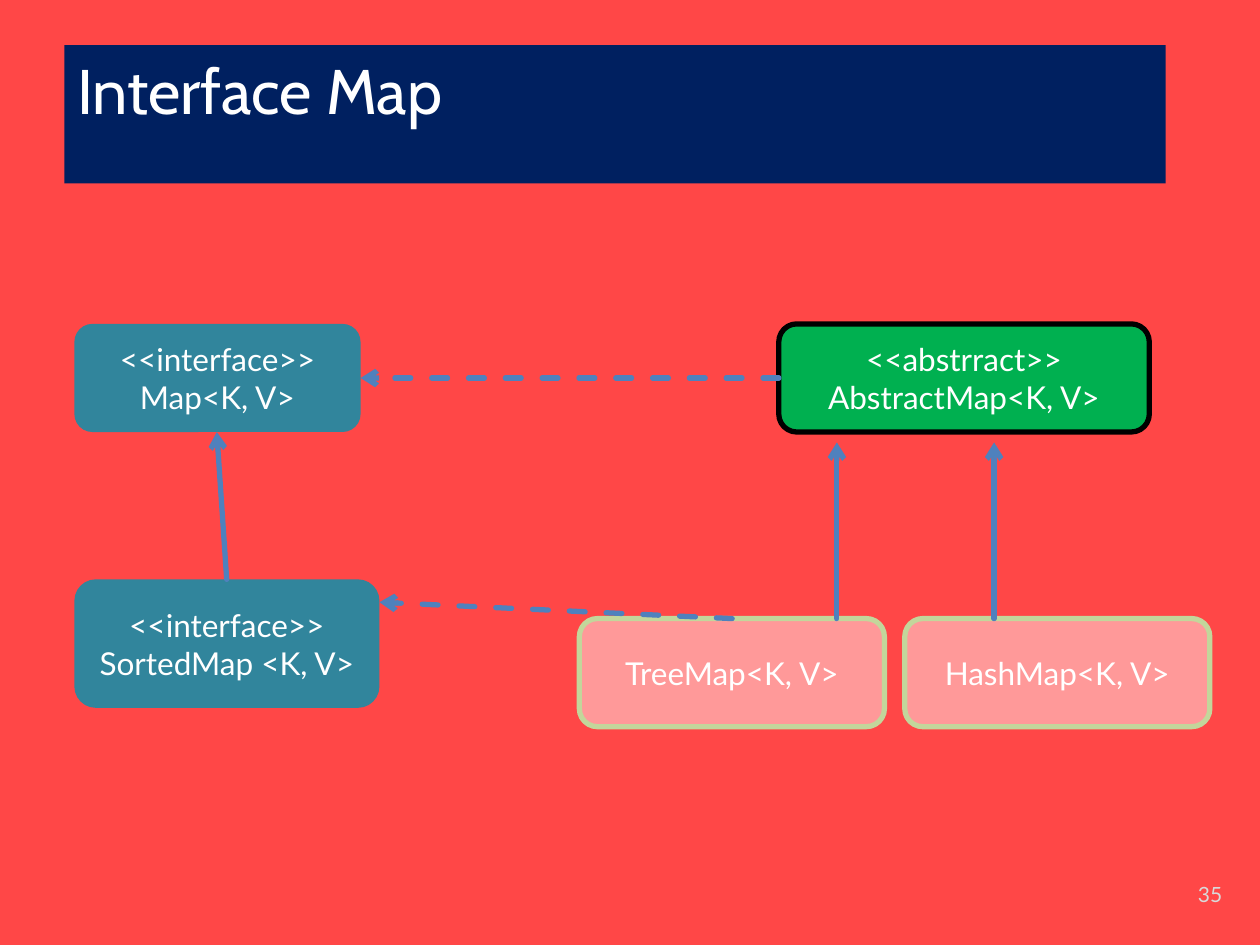
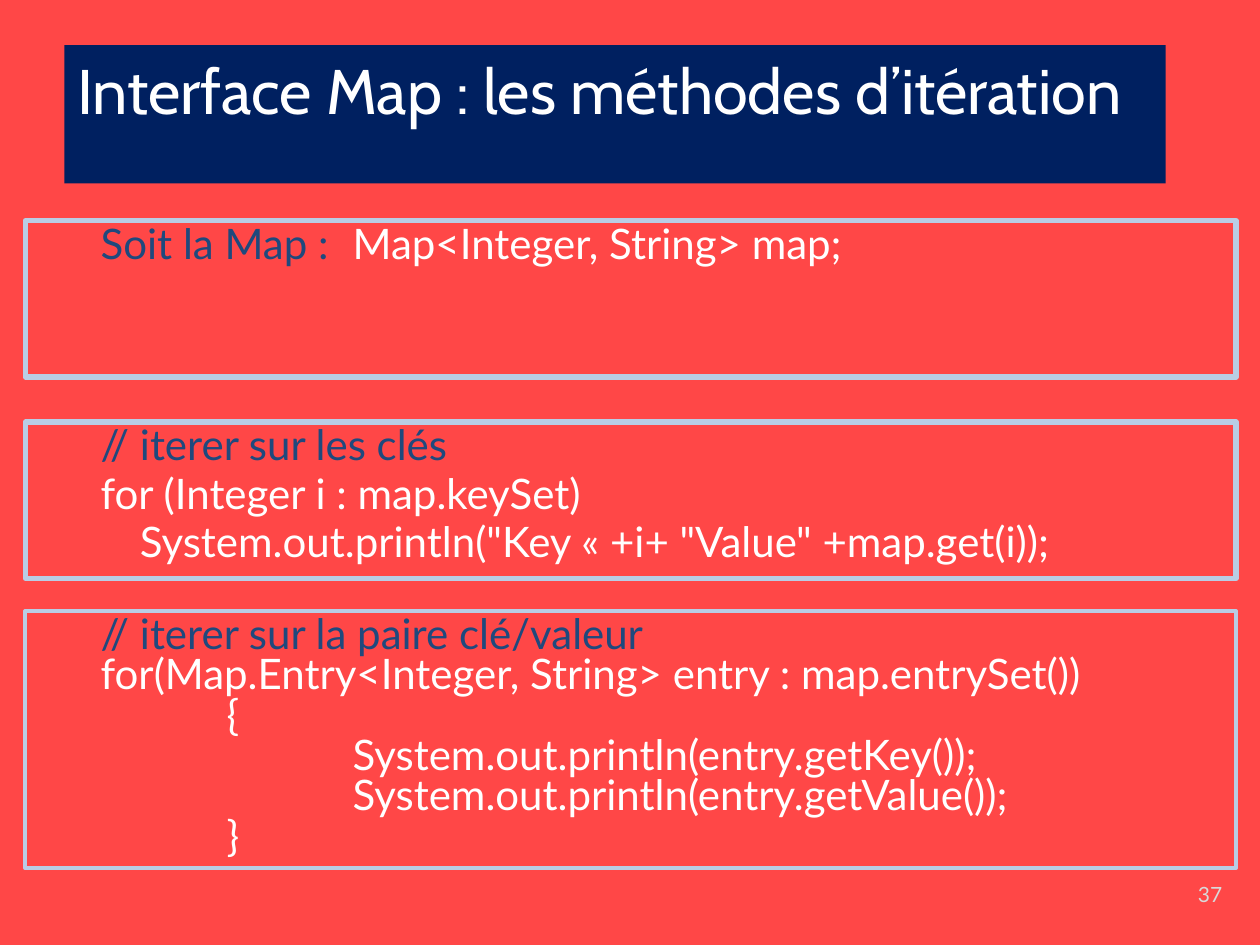
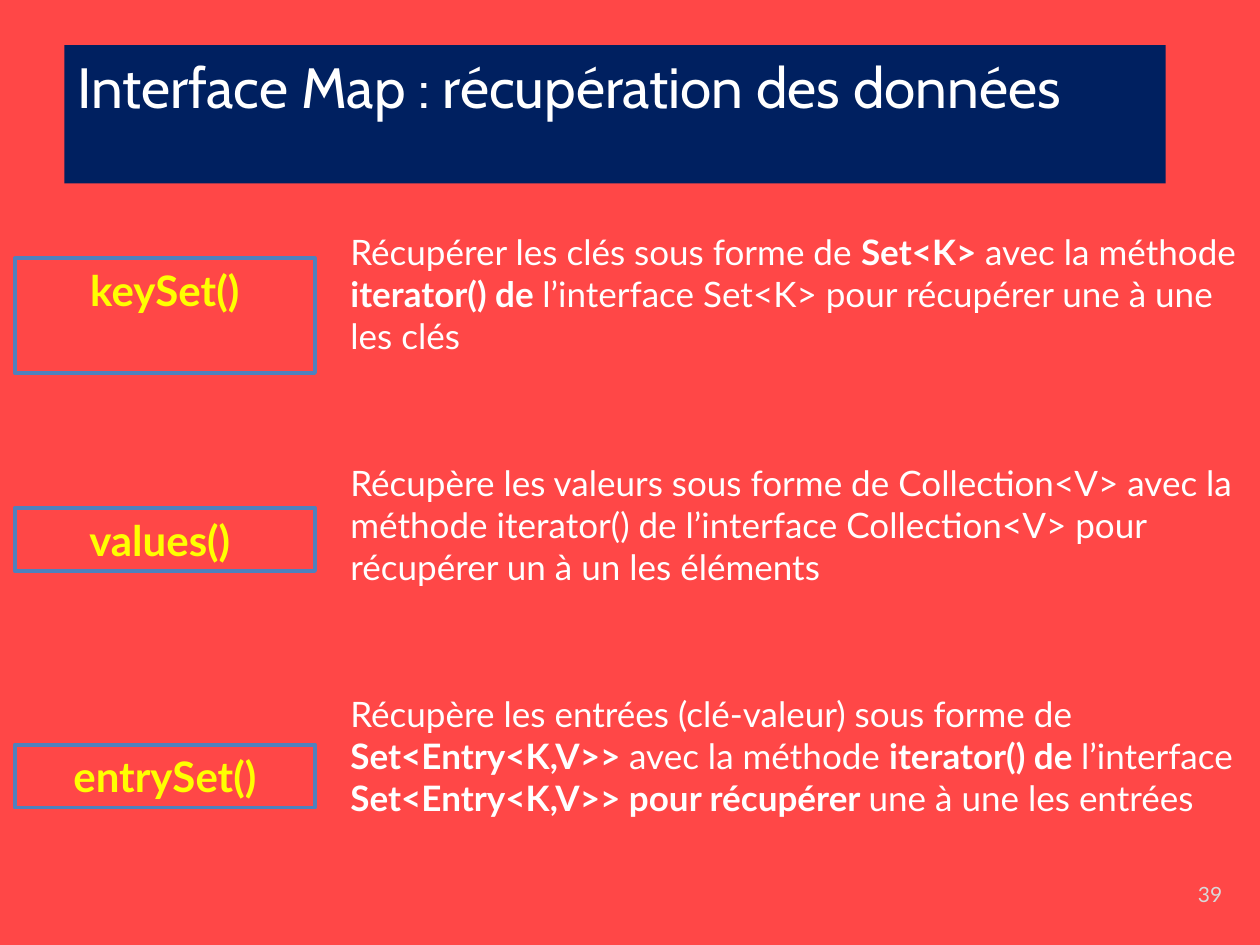
from dataclasses import dataclass
from typing import Optional

from lxml import etree
from pptx import Presentation
from pptx.dml.color import RGBColor
from pptx.enum.dml import MSO_LINE
from pptx.enum.shapes import MSO_CONNECTOR, MSO_SHAPE
from pptx.enum.text import MSO_ANCHOR, MSO_AUTO_SIZE, PP_ALIGN
from pptx.oxml.ns import qn
from pptx.util import Cm, Pt

RECT, ROUNDED = MSO_SHAPE.RECTANGLE, MSO_SHAPE.ROUNDED_RECTANGLE
STRAIGHT, DASH = MSO_CONNECTOR.STRAIGHT, MSO_LINE.DASH
LEFT, CENTER, RIGHT = PP_ALIGN.LEFT, PP_ALIGN.CENTER, PP_ALIGN.RIGHT
TOP, MIDDLE = MSO_ANCHOR.TOP, MSO_ANCHOR.MIDDLE
NO_FIT = MSO_AUTO_SIZE.NONE

RED = RGBColor(0xFF, 0x47, 0x47)
NAVY = RGBColor(0x00, 0x20, 0x60)
WHITE = RGBColor(0xFF, 0xFF, 0xFF)
GREY = RGBColor(0xD9, 0xD9, 0xD9)
TEAL = RGBColor(0x31, 0x85, 0x9C)
GREEN = RGBColor(0x00, 0xB0, 0x50)
BLACK = RGBColor(0x00, 0x00, 0x00)
PINK = RGBColor(0xFF, 0x99, 0x99)
LIME = RGBColor(0xC3, 0xD6, 0x9B)
BLUE = RGBColor(0x4F, 0x81, 0xBD)
PALE_BLUE = RGBColor(0xB9, 0xCD, 0xE5)
DARK_BLUE = RGBColor(0x1F, 0x49, 0x7D)
YELLOW = RGBColor(0xFF, 0xFF, 0x00)

TITLE_FONT, TEXT_FONT = "Cabin", "Lato"
TITLE_CONTENT, TITLE_ONLY = 1, 5


@dataclass
class ClassBox:
    lines: list[str]
    x: float
    y: float
    w: float
    h: float
    fill: RGBColor
    line: Optional[RGBColor] = None


@dataclass
class Arrow:
    start: tuple[float, float]
    end: tuple[float, float]
    dashed: bool = False


@dataclass
class CodeLine:
    text: str
    indent: float = 0
    color: RGBColor = WHITE


@dataclass
class CodeBox:
    lines: list[CodeLine]
    y: float
    h: float
    line_pt: float = 3
    gap_pt: float = 4.8


@dataclass
class Method:
    name: str
    y: float
    h: float
    description: list[tuple[str, bool]]
    indent: float = 0
    align: PP_ALIGN = CENTER


CLASSES = [
    ClassBox(["<<interface>>", "Map<K, V>"], 1.5, 6.53, 5.77, 2.18, TEAL),
    ClassBox(["<<interface>>", "SortedMap <K, V>"], 1.5, 11.68, 6.15, 2.59, TEAL),
    ClassBox(["<<abstrract>>", "AbstractMap<K, V>"], 15.7, 6.53, 7.47, 2.18, GREEN, BLACK),
    ClassBox(["HashMap<K, V>"], 18.24, 12.47, 6.15, 2.18, PINK, LIME),
    ClassBox(["TreeMap<K, V>"], 11.68, 12.47, 6.15, 2.18, PINK, LIME),
]

ARROWS = [
    Arrow((4.57, 11.68), (4.37, 8.71)),
    Arrow((15.7, 7.62), (7.27, 7.62), True),
    Arrow((16.87, 12.47), (16.87, 8.92)),
    Arrow((20.04, 12.47), (20.04, 8.92)),
    Arrow((14.76, 12.47), (7.65, 12.14), True),
]

KEY_LOOP = CodeBox([
    CodeLine("// iterer sur les clés", color=DARK_BLUE),
    CodeLine("for (Integer i : map.keySet)"),
    CodeLine('System.out.println("Key « +i+ "Value" +map.get(i));', 0.79),
], 8.51, 3.15)

ENTRY_LOOP = CodeBox([
    CodeLine("// iterer sur la paire clé/valeur", color=DARK_BLUE),
    CodeLine("for(Map.Entry<Integer, String> entry : map.entrySet())"),
    CodeLine("{", 2.54),
    CodeLine("System.out.println(entry.getKey());", 5.08),
    CodeLine("System.out.println(entry.getValue());", 5.08),
    CodeLine("}", 2.54),
], 12.32, 5.18, 2.25, 0)

DECLARATION = CodeBox([CodeLine("Soit la Map :", color=DARK_BLUE)], 4.45, 3.15)

METHODS = [
    Method("keySet()", 5.21, 2.31, [
        ("Récupérer les clés sous forme de ", False),
        ("Set<K> ", True),
        ("avec la méthode ", False),
        ("iterator() de ", True),
        ("l’interface Set<K> pour récupérer une à une les clés", False),
    ], 1.27, LEFT),
    Method("values() ", 10.24, 1.27, [
        ("Récupère les valeurs sous forme de Collection<V> avec la méthode "
         "iterator() de l’interface Collection<V> pour récupérer un à un les éléments", False),
    ]),
    Method("entrySet()", 15.01, 1.27, [
        ("Récupère les entrées (clé-valeur) sous forme de ", False),
        ("Set<Entry<K,V>> ", True),
        ("avec la méthode ", False),
        ("iterator() de ", True),
        ("l’interface ", False),
        ("Set<Entry<K,V>> pour récupérer ", True),
        ("une à une les entrées", False),
    ]),
]


def place(sp, x: float, y: float, w: float, h: float) -> None:
    sp.left, sp.top, sp.width, sp.height = Cm(x), Cm(y), Cm(w), Cm(h)


def add_run(p, text: str, size: float, color: RGBColor = WHITE,
            bold: bool = False, font: str = TEXT_FONT) -> None:
    r = p.add_run()
    r.text = text
    r.font.name, r.font.size, r.font.bold = font, Pt(size), bold
    r.font.color.rgb = color


def next_paragraph(tf, index: int, align: PP_ALIGN = LEFT, indent: float = 0):
    p = tf.paragraphs[0] if index == 0 else tf.add_paragraph()
    p.alignment = align
    p.space_before = Pt(0)
    pPr = p._p.get_or_add_pPr()
    pPr.set("marL", str(Cm(indent)))
    pPr.set("indent", "0")
    return p


def add_box(s, kind: MSO_SHAPE, x: float, y: float, w: float, h: float,
            fill: Optional[RGBColor] = None, line: Optional[RGBColor] = None,
            line_pt: float = 3, anchor: MSO_ANCHOR = TOP):
    sp = s.shapes.add_shape(kind, Cm(x), Cm(y), Cm(w), Cm(h))
    sp.shadow.inherit = False
    if fill is None:
        sp.fill.background()
    else:
        sp.fill.solid()
        sp.fill.fore_color.rgb = fill
    if line is None:
        sp.line.fill.background()
    else:
        sp.line.color.rgb = line
        sp.line.width = Pt(line_pt)
    sp.text_frame.word_wrap = True
    sp.text_frame.vertical_anchor = anchor
    return sp


def add_class(s, box: ClassBox) -> None:
    sp = add_box(s, ROUNDED, box.x, box.y, box.w, box.h, box.fill, box.line, anchor=MIDDLE)
    for i, text in enumerate(box.lines):
        add_run(next_paragraph(sp.text_frame, i, CENTER), text, 18)


def add_arrow(s, arrow: Arrow) -> None:
    points = [Cm(v) for v in arrow.start + arrow.end]
    sp = s.shapes.add_connector(STRAIGHT, *points)
    sp.line.color.rgb = BLUE
    sp.line.width = Pt(3)
    if arrow.dashed:
        sp.line.dash_style = DASH
    ln = sp.line._get_or_add_ln()
    ln.set("cap", "rnd")
    etree.SubElement(ln, qn("a:round"))
    etree.SubElement(ln, qn("a:tailEnd")).set("type", "arrow")
    etree.SubElement(sp._element.spPr, qn("a:effectLst"))


def add_code(s, box: CodeBox):
    sp = add_box(s, RECT, 0.51, box.y, 24.41, box.h, line=PALE_BLUE, line_pt=box.line_pt)
    tf = sp.text_frame
    tf.margin_left = Cm(1.52)
    for i, line in enumerate(box.lines):
        p = next_paragraph(tf, i, indent=line.indent)
        p.line_spacing = 0.8
        if i:
            p.space_before = Pt(box.gap_pt)
        add_run(p, line.text, 24, line.color)
    return tf


def add_declaration(s) -> None:
    p = add_code(s, DECLARATION).paragraphs[0]
    tabs = etree.SubElement(p._p.get_or_add_pPr(), qn("a:tabLst"))
    etree.SubElement(tabs, qn("a:tab"), pos=str(Cm(5.24)), algn="l")
    add_run(p, "\tMap<Integer, String> map;", 24)


def add_methods(s) -> None:
    body = s.placeholders[1]
    place(body, 6.81, 4.52, 18.59, 3.3)
    tf = body.text_frame
    tf.auto_size, tf.vertical_anchor = NO_FIT, TOP
    for i, method in enumerate(METHODS):
        p = next_paragraph(tf, i)
        if i:
            p.space_before = Pt(60)
        etree.SubElement(p._p.get_or_add_pPr(), qn("a:buNone"))
        for text, bold in method.description:
            add_run(p, text, 20, bold=bold)
    for method in METHODS:
        sp = add_box(s, RECT, 0.3, method.y, 6.05, method.h, line=BLUE, line_pt=2.25)
        p = next_paragraph(sp.text_frame, 0, method.align, method.indent)
        add_run(p, method.name, 24, YELLOW, True)


def add_slide(prs, layout: int, title: str, number: int, size: float = 36):
    s = prs.slides.add_slide(prs.slide_layouts[layout])
    sp = s.shapes.title
    place(sp, 1.3, 0.91, 22.2, 2.79)
    sp.fill.solid()
    sp.fill.fore_color.rgb = NAVY
    tf = sp.text_frame
    tf.auto_size, tf.vertical_anchor = NO_FIT, TOP
    add_run(next_paragraph(tf, 0), title, size, font=TITLE_FONT)
    tf = s.shapes.add_textbox(Cm(22.3), Cm(17.65), Cm(2.59), Cm(1.02)).text_frame
    tf.word_wrap = True
    add_run(next_paragraph(tf, 0, RIGHT), str(number), 12, GREY)
    return s


def main() -> None:
    prs = Presentation()
    prs.slide_width, prs.slide_height = Cm(25.4), Cm(19.05)
    background = prs.slide_master.background.fill
    background.solid()
    background.fore_color.rgb = RED

    s = add_slide(prs, TITLE_ONLY, "Interface Map", 35)
    for box in CLASSES:
        add_class(s, box)
    for arrow in ARROWS:
        add_arrow(s, arrow)

    s = add_slide(prs, TITLE_ONLY, "Interface Map : les méthodes d’itération", 37)
    add_code(s, KEY_LOOP)
    add_code(s, ENTRY_LOOP)
    add_declaration(s)

    s = add_slide(prs, TITLE_CONTENT, "Interface Map : récupération des données", 39, 32.4)
    add_methods(s)

    prs.save("out.pptx")


if __name__ == "__main__":
    main()
